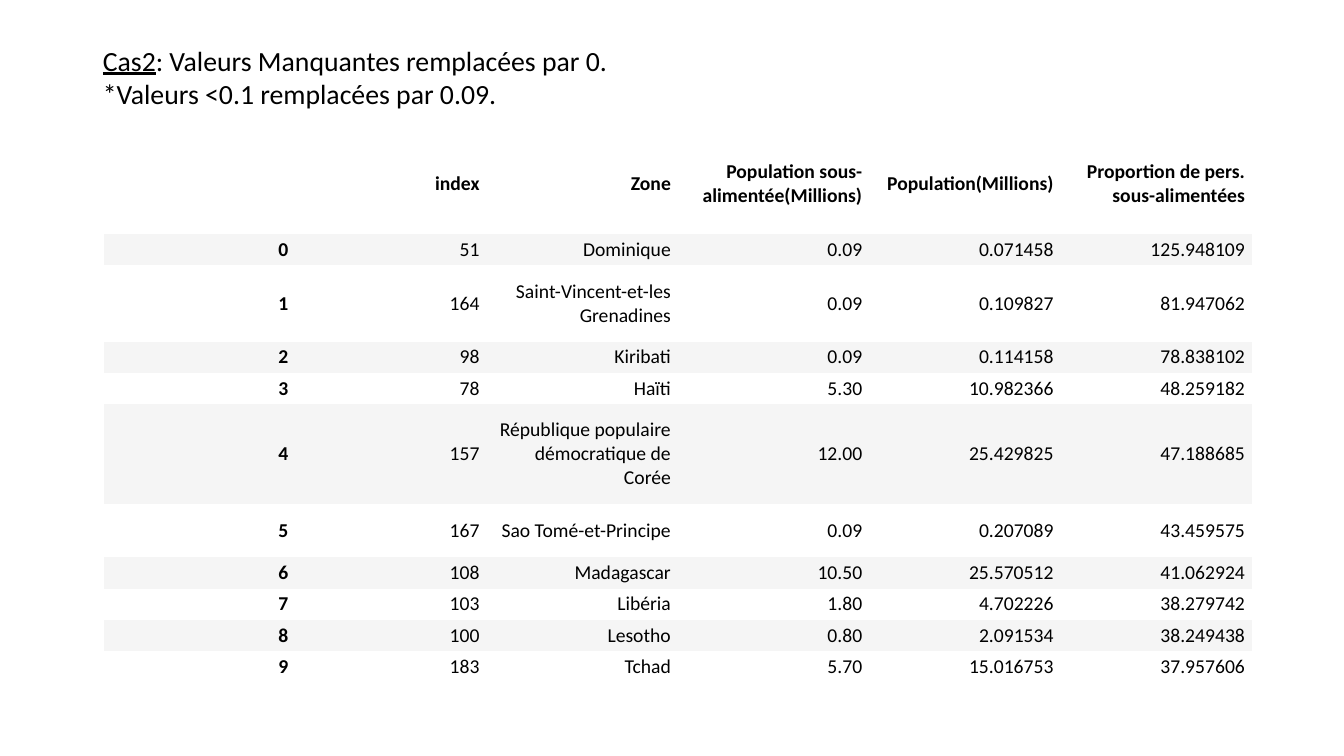
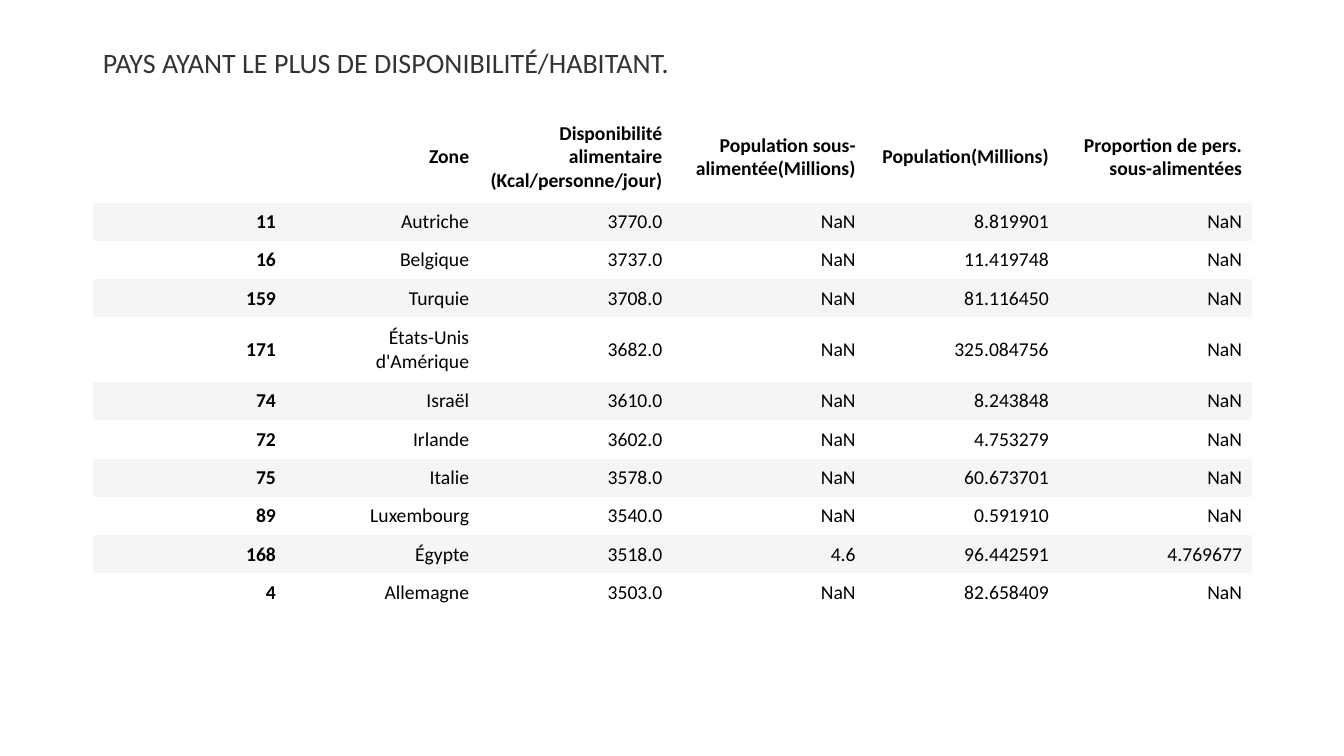
from pptx import Presentation
from pptx.dml.color import RGBColor
from pptx.enum.text import MSO_ANCHOR, MSO_AUTO_SIZE, PP_ALIGN
from pptx.util import Inches, Pt

NO_GRID = "{2D5ABB26-0587-4C30-8999-92F81FD0307C}"

UNDERFED = ["Population sous-alimentée(Millions)", "Population(Millions)",
            "Proportion de pers. sous-alimentées"]

MISSING_AS_ZERO = [
    ["", "index", "Zone", *UNDERFED],
    ["0", "51", "Dominique", "0.09", "0.071458", "125.948109"],
    ["1", "164", "Saint-Vincent-et-les Grenadines", "0.09", "0.109827", "81.947062"],
    ["2", "98", "Kiribati", "0.09", "0.114158", "78.838102"],
    ["3", "78", "Haïti", "5.30", "10.982366", "48.259182"],
    ["4", "157", "République populaire démocratique de Corée", "12.00", "25.429825", "47.188685"],
    ["5", "167", "Sao Tomé-et-Principe", "0.09", "0.207089", "43.459575"],
    ["6", "108", "Madagascar", "10.50", "25.570512", "41.062924"],
    ["7", "103", "Libéria", "1.80", "4.702226", "38.279742"],
    ["8", "100", "Lesotho", "0.80", "2.091534", "38.249438"],
    ["9", "183", "Tchad", "5.70", "15.016753", "37.957606"],
]

MOST_AVAILABLE = [
    ["", "Zone", "Disponibilité alimentaire (Kcal/personne/jour)", *UNDERFED],
    ["11", "Autriche", "3770.0", "NaN", "8.819901", "NaN"],
    ["16", "Belgique", "3737.0", "NaN", "11.419748", "NaN"],
    ["159", "Turquie", "3708.0", "NaN", "81.116450", "NaN"],
    ["171", "États-Unis d'Amérique", "3682.0", "NaN", "325.084756", "NaN"],
    ["74", "Israël", "3610.0", "NaN", "8.243848", "NaN"],
    ["72", "Irlande", "3602.0", "NaN", "4.753279", "NaN"],
    ["75", "Italie", "3578.0", "NaN", "60.673701", "NaN"],
    ["89", "Luxembourg", "3540.0", "NaN", "0.591910", "NaN"],
    ["168", "Égypte", "3518.0", "4.6", "96.442591", "4.769677"],
    ["4", "Allemagne", "3503.0", "NaN", "82.658409", "NaN"],
]


def rgb(value):
    """Turn a hex string into a colour."""
    return RGBColor.from_string(value)


def apply(target, values):
    """Set every attribute in values on target."""
    for name, value in values.items():
        setattr(target, name, value)


class Deck:
    """Holds the shared style and the current slide."""

    FONT, BLACK, BANDS = "Calibri", "000000", ("FFFFFF", "F5F5F5")

    def __init__(self):
        """Start an empty wide presentation."""
        self.prs = Presentation()
        apply(self.prs, {"slide_width": Inches(13.33), "slide_height": Inches(7.5)})

    def slide(self):
        """Add a slide that has only a title."""
        self.s = self.prs.slides.add_slide(self.prs.slide_layouts[5])

    def run(self, p, text, size, color=BLACK, **font):
        """Add one formatted run to a paragraph."""
        r = p.add_run()
        r.text = text
        apply(r.font, {"name": self.FONT, "size": Pt(size), **font})
        r.font.color.rgb = rgb(color)

    def title(self, height, **spacing):
        """Place the title and return its paragraph."""
        sp = self.s.shapes.title
        apply(sp, {"left": Inches(0.92), "top": Inches(0.4),
                   "width": Inches(11.5), "height": Inches(height)})
        tf = sp.text_frame
        apply(tf, {"word_wrap": True, "auto_size": MSO_AUTO_SIZE.NONE,
                   "vertical_anchor": MSO_ANCHOR.MIDDLE})
        p = tf.paragraphs[0]
        apply(p, {"alignment": PP_ALIGN.LEFT, **spacing})
        return p

    def table(self, rows, left, top, width, heights, margins):
        """Add a banded table with a bold header row and first column."""
        frame = self.s.shapes.add_table(len(rows), len(rows[0]), Inches(left), Inches(top),
                                        Inches(width), Inches(sum(heights)))
        tbl = frame.table
        tbl.horz_banding = False
        tbl._tbl.tblPr[0].text = NO_GRID
        side, edge = map(Inches, margins)
        for i, (row, height) in enumerate(zip(rows, heights)):
            tbl.rows[i].height = Inches(height)
            for j, text in enumerate(row):
                cell = tbl.cell(i, j)
                apply(cell, {"vertical_anchor": MSO_ANCHOR.MIDDLE,
                             "margin_left": side, "margin_right": side,
                             "margin_top": edge, "margin_bottom": edge})
                cell.fill.solid()
                cell.fill.fore_color.rgb = rgb(self.BANDS[i % 2])
                if text:
                    p = cell.text_frame.paragraphs[0]
                    p.alignment = PP_ALIGN.RIGHT
                    self.run(p, text, 14, bold=i == 0 or j == 0)


def main():
    """Build both slides and save them."""
    deck = Deck()

    deck.slide()
    p = deck.title(0.72, space_before=Pt(6), space_after=Pt(6))
    deck.run(p, "Cas2", 19.8, underline=True)
    deck.run(p, ": Valeurs Manquantes remplacées par 0.", 19.8)
    p.add_line_break()
    deck.run(p, "*Valeurs <0.1 remplacées par 0.09.", 19.8)
    deck.table(MISSING_AS_ZERO, 1.03, 1.33, 11.39,
               [0.99, 0.31, 0.76, 0.31, 0.31, 0.99, 0.53] + [0.31] * 4, (0.07, 0.03))

    deck.slide()
    p = deck.title(0.48, line_spacing=0.9)
    deck.run(p, "PAYS AYANT LE PLUS DE DISPONIBILITÉ/HABITANT.", 20, "333333")
    deck.table(MOST_AVAILABLE, 0.92, 1.11, 11.5,
               [0.9] + [0.38] * 3 + [0.64] + [0.38] * 6, (0.1, 0.05))

    deck.prs.save("out.pptx")


if __name__ == "__main__":
    main()
